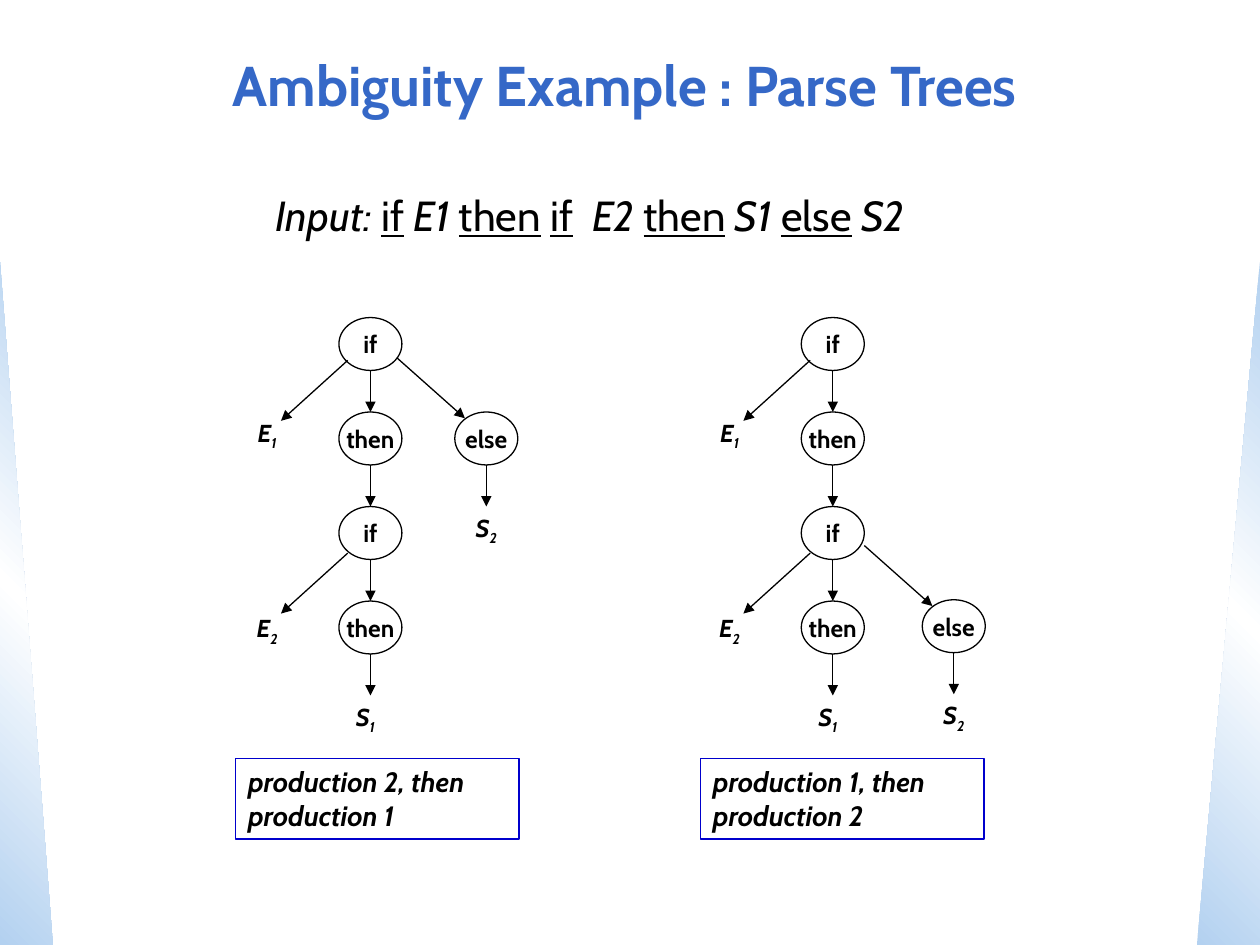
from lxml import etree
from pptx import Presentation
from pptx.dml.color import RGBColor
from pptx.enum.shapes import MSO_CONNECTOR as Connector, MSO_SHAPE as Shape
from pptx.enum.text import MSO_ANCHOR as Anchor, PP_ALIGN as Align
from pptx.oxml import parse_xml
from pptx.oxml.ns import nsdecls, qn
from pptx.util import Inches, Pt

FONT = "Cabin"
BLACK = RGBColor(0x00, 0x00, 0x00)
TITLE_BLUE = RGBColor(0x35, 0x68, 0xC7)
BOX_BLUE = RGBColor(0x00, 0x00, 0xCC)
EDGE_BLUE = RGBColor(0xB3, 0xD1, 0xF0)
WHITE = RGBColor(0xFF, 0xFF, 0xFF)

NODE_WIDTH, NODE_HEIGHT = 0.5, 0.42
TREE_TOP, LEVEL = 2.52, 0.75


def inches(*lengths):
    return [Inches(length) for length in lengths]


def style_run(span, size, color=BLACK, bold=False, italic=False):
    font = span.font
    font.name, font.size = FONT, Pt(size)
    font.bold, font.italic = bold, italic
    font.color.rgb = color


def add_outline(slide, kind, at, color):
    shape = slide.shapes.add_shape(kind, *inches(*at))
    shape.shadow.inherit = False
    shape.fill.background()
    shape.line.color.rgb = color
    shape.line.width = Pt(0.75)
    return shape


def add_side_triangle(slide, at, angle, flipped=False):
    """Corner triangle with a blue-white-blue gradient."""
    triangle = slide.shapes.add_shape(Shape.RIGHT_TRIANGLE, *inches(*at))
    triangle.shadow.inherit = False
    triangle.line.fill.background()
    properties = triangle._element.spPr
    if flipped:
        properties.find(qn("a:xfrm")).set("flipH", "1")
    stops = "".join(
        f'<a:gs pos="{position}"><a:srgbClr val="{color}"/></a:gs>'
        for position, color in ((0, EDGE_BLUE), (50000, WHITE), (100000, EDGE_BLUE)))
    gradient = parse_xml(
        f'<a:gradFill {nsdecls("a")} rotWithShape="1"><a:gsLst>{stops}</a:gsLst>'
        f'<a:lin ang="{angle * 60000}" scaled="0"/></a:gradFill>')
    properties.find(qn("a:prstGeom")).addnext(gradient)


def add_title(slide, text):
    title = slide.shapes.title
    title.left, title.top, title.width, title.height = inches(0.25, 0.25, 9.42, 0.83)
    frame = title.text_frame
    frame.text = text
    frame.vertical_anchor = Anchor.MIDDLE
    para = frame.paragraphs[0]
    para.alignment = Align.CENTER
    style_run(para.runs[0], 32, TITLE_BLUE, bold=True)


def add_input_line(slide, parts):
    """Sample sentence: keywords are underlined, the rest is italic."""
    box = slide.shapes.add_textbox(*inches(2.09, 1.5, 5.83, 0.46))
    box.text_frame.word_wrap = True
    para = box.text_frame.paragraphs[0]
    para.line_spacing = 0.9
    for text, keyword in parts:
        span = para.add_run()
        span.text = text
        style_run(span, 24, italic=not keyword)
        span.font.underline = keyword


def add_node(slide, left, top, text):
    node = add_outline(slide, Shape.OVAL, (left, top, NODE_WIDTH, NODE_HEIGHT), BLACK)
    frame = node.text_frame
    frame.text = text
    frame.word_wrap = False
    frame.vertical_anchor = Anchor.MIDDLE
    frame.paragraphs[0].alignment = Align.CENTER
    style_run(frame.paragraphs[0].runs[0], 14, bold=True)


def add_leaf(slide, left, top, letter, index):
    box = slide.shapes.add_textbox(*inches(left, top, 0.58, 0.37))
    box.text_frame.word_wrap = True
    para = box.text_frame.paragraphs[0]
    para.alignment = Align.CENTER
    for text in (letter, index):
        span = para.add_run()
        span.text = text
        style_run(span, 14, bold=True, italic=True)
    span.font._element.set("baseline", "-25000")


def add_arrow(slide, start, end):
    arrow = slide.shapes.add_connector(Connector.STRAIGHT, *inches(*start, *end))
    arrow.line.color.rgb = BLACK
    arrow.line.width = Pt(0.75)
    head = etree.SubElement(arrow.line._get_or_add_ln(), qn("a:tailEnd"))
    head.set("type", "triangle")
    etree.SubElement(arrow._element.spPr, qn("a:effectLst"))


def add_caption(slide, left, text):
    box = add_outline(slide, Shape.RECTANGLE, (left, 6.02, 2.25, 0.64), BOX_BLUE)
    frame = box.text_frame
    frame.text = text
    frame.word_wrap = True
    frame.vertical_anchor = Anchor.TOP
    frame.paragraphs[0].alignment = Align.LEFT
    style_run(frame.paragraphs[0].runs[0], 16, bold=True, italic=True)


def add_else_branch(slide, left, top):
    center = left + NODE_WIDTH / 2
    add_node(slide, left, top, "else")
    add_leaf(slide, left - 0.04, top + LEVEL, "S", "2")
    add_arrow(slide, (left - 0.46, top - 0.43), (left + 0.08, top + 0.05))
    add_arrow(slide, (center, top + NODE_HEIGHT), (center, top + LEVEL))


def add_tree(slide, left, else_offset, else_top):
    # Trunk: nested if/then nodes, each with an arrow down
    center = left + NODE_WIDTH / 2
    for level, word in enumerate(("if", "then", "if", "then")):
        top = TREE_TOP + level * LEVEL
        add_node(slide, left, top, word)
        add_arrow(slide, (center, top + NODE_HEIGHT), (center, top + LEVEL))
    add_leaf(slide, left - 0.08, 5.52, "S", "1")

    # Conditions on the left of each if
    for index, start, leaf_top in (("1", 2.86, 3.27), ("2", 4.39, 4.82)):
        add_leaf(slide, left - 0.86, leaf_top, "E", index)
        add_arrow(slide, (left + 0.07, start), (left - 0.46, start + 0.48))

    add_else_branch(slide, left + else_offset, else_top)


def main():
    deck = Presentation()
    deck.slide_width, deck.slide_height = inches(10, 7.5)
    slide = deck.slides.add_slide(deck.slide_layouts[5])

    # Background decoration
    add_side_triangle(slide, (0, 2.08, 0.42, 5.42), 135)
    add_side_triangle(slide, (9.5, 2.08, 0.5, 5.42), 225, flipped=True)

    # Heading and sample input
    add_title(slide, "Ambiguity Example : Parse Trees")
    add_input_line(slide, (
        ("Input: ", False), ("if", True), (" E1 ", False), ("then", True),
        (" ", False), ("if", True), ("  E2 ", False), ("then", True),
        (" S1 ", False), ("else", True), (" S2", False)))

    # The two parse trees
    add_tree(slide, 2.69, 0.92, 3.27)
    add_caption(slide, 1.87, "production 2, then production 1")
    add_tree(slide, 6.36, 0.96, 4.76)
    add_caption(slide, 5.56, "production 1, then production 2")

    deck.save("out.pptx")


if __name__ == "__main__":
    main()
